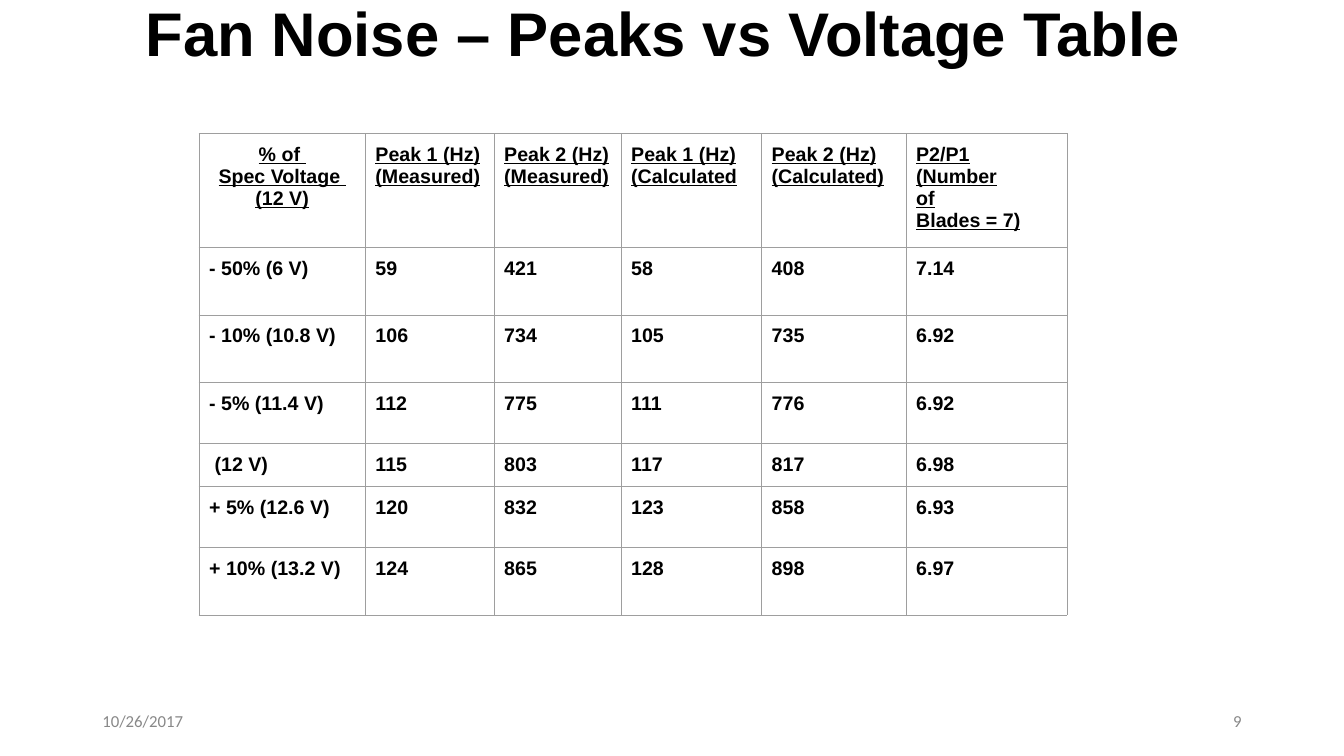
from lxml.etree import SubElement
from pptx import Presentation
from pptx.dml.color import RGBColor
from pptx.enum.text import MSO_ANCHOR, PP_ALIGN
from pptx.oxml.ns import qn
from pptx.util import Pt

COLORS = {"text": "000000", "footer": "888888", "border": "9E9E9E"}
INSET = Pt(7.2)


def write(tf, text, size=14, font="Arial", color="text", bold=False,
          underline=False, align=PP_ALIGN.LEFT, spacing=None):
    """Fill a text frame, one paragraph for each line of text."""
    tf.word_wrap = True
    for i, line in enumerate(text.split("\n")):
        p = tf.add_paragraph() if i else tf.paragraphs[0]
        p.alignment = align
        if spacing:
            p.line_spacing = spacing
        r = p.add_run()
        r.text = line
        r.font.name = font
        r.font.size = Pt(size)
        r.font.bold = bold
        r.font.underline = underline
        r.font.color.rgb = RGBColor.from_string(COLORS[color])


def add_borders(cell):
    tc_pr = cell._tc.get_or_add_tcPr()
    for side in ("lnL", "lnR", "lnT", "lnB"):
        ln = SubElement(tc_pr, qn(f"a:{side}"), w=str(Pt(0.75)))
        fill = SubElement(ln, qn("a:solidFill"))
        SubElement(fill, qn("a:srgbClr"), val=COLORS["border"])


prs = Presentation()
prs.slide_width, prs.slide_height = Pt(960), Pt(540)
s = prs.slides.add_slide(prs.slide_layouts[6])

# Title, date and slide number
text_boxes = [
    ("Fan Noise – Peaks vs Voltage Table ", (0, 0, 960, 52),
     dict(size=44, bold=True, align=PP_ALIGN.CENTER, spacing=0.9)),
    ("10/26/2017", (66, 500.5, 216, 28.75),
     dict(size=12, font="Calibri", color="footer")),
    ("9", (678, 500.5, 216, 28.75),
     dict(size=12, font="Calibri", color="footer", align=PP_ALIGN.RIGHT)),
]
for text, box, style in text_boxes:
    tf = s.shapes.add_textbox(*map(Pt, box)).text_frame
    tf.vertical_anchor = MSO_ANCHOR.MIDDLE
    write(tf, text, **style)

# Peaks table
rows = [
    ("% of \nSpec Voltage \n(12 V)", "Peak 1 (Hz)\n(Measured)",
     "Peak 2 (Hz)\n(Measured)", "Peak 1 (Hz)\n(Calculated",
     "Peak 2 (Hz)\n(Calculated)", "P2/P1\n(Number\nof\nBlades = 7)"),
    ("- 50% (6 V)", "59", "421", "58", "408", "7.14"),
    ("- 10% (10.8 V)", "106", "734", "105", "735", "6.92"),
    ("- 5% (11.4 V)", "112", "775", "111", "776", "6.92"),
    (" (12 V)", "115", "803", "117", "817", "6.98"),
    ("+ 5% (12.6 V)", "120", "832", "123", "858", "6.93"),
    ("+ 10% (13.2 V)", "124", "865", "128", "898", "6.97"),
]
col_widths = [118.8, 92, 90.7, 100.4, 103.2, 115]
row_heights = [76.5, 48, 48, 43.5, 31, 43.5, 48]

table = s.shapes.add_table(
    len(rows), len(col_widths), Pt(142.2), Pt(95.4),
    Pt(sum(col_widths)), Pt(sum(row_heights))).table
table.first_row = table.horz_banding = False
for column, width in zip(table.columns, col_widths):
    column.width = Pt(width)
for row, height in zip(table.rows, row_heights):
    row.height = Pt(height)

for i, values in enumerate(rows):
    for j, value in enumerate(values):
        cell = table.cell(i, j)
        cell.margin_left = cell.margin_right = INSET
        cell.margin_top = cell.margin_bottom = INSET
        add_borders(cell)
        cell.fill.background()
        centered = i == 0 and j == 0
        write(cell.text_frame, value, bold=True, underline=i == 0,
              align=PP_ALIGN.CENTER if centered else PP_ALIGN.LEFT)

prs.save("out.pptx")
